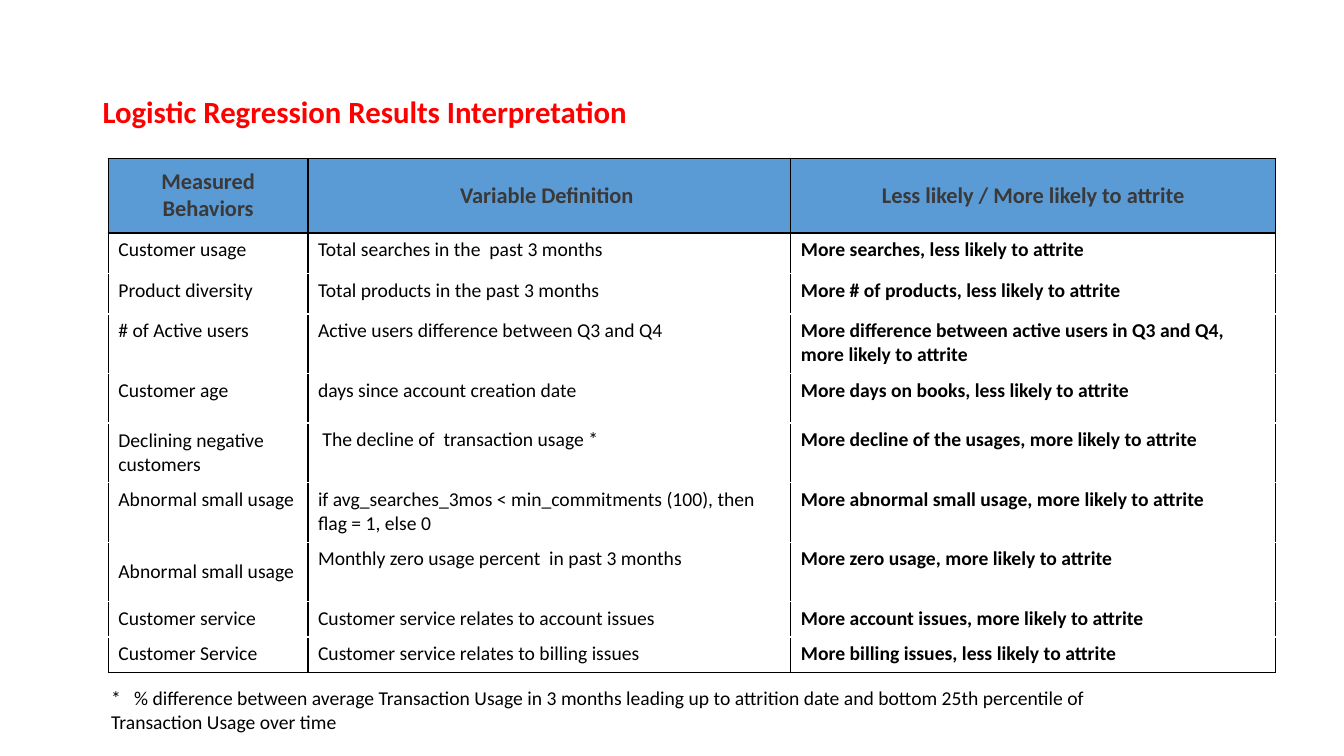
import dataclasses

import lxml.etree
import pptx
import pptx.dml.color
import pptx.enum.text
import pptx.oxml.ns
import pptx.table
import pptx.util

Cm = pptx.util.Cm
Pt = pptx.util.Pt
qn = pptx.oxml.ns.qn
Align = pptx.enum.text.PP_ALIGN
Anchor = pptx.enum.text.MSO_ANCHOR

HUES = {
    "title": "FF0000",
    "head": "5B9BD5",
    "label": "3B3838",
    "ink": "000000",
    "paper": "FFFFFF",
}
FONT = "Calibri"
WIDTHS = (5.03, 12.17, 12.22)


@dataclasses.dataclass
class Row:
    tall: float
    name: str
    rule: str
    effect: str
    mid: bool = False  # name cell is centred vertically


HEAD = Row(1.88, "Measured Behaviors", "Variable Definition ",
           "Less likely / More likely to attrite", True)
ROWS = [
    HEAD,
    Row(1.02, "Customer usage", "Total searches in the  past 3 months ",
        "More searches, less likely to attrite"),
    Row(1.02, "Product diversity ", "Total products in the past 3 months ",
        "More # of products, less likely to attrite"),
    Row(1.5, "# of Active users ", "Active users difference between Q3 and Q4",
        "More difference between active users in Q3 and Q4, "
        "more likely to attrite"),
    Row(1.25, "Customer age ", "days since account creation date",
        "More days on books, less likely to attrite"),
    Row(1.5, "Declining negative customers",
        " The decline of  transaction usage *",
        "More decline of the usages, more likely to attrite ", True),
    Row(1.5, "Abnormal small usage",
        "if avg_searches_3mos < min_commitments (100), then flag = 1, else 0 ",
        "More abnormal small usage, more likely to attrite"),
    Row(1.5, "Abnormal small usage",
        "Monthly zero usage percent  in past 3 months",
        "More zero usage, more likely to attrite", True),
    Row(0.89, "Customer service", "Customer service relates to account issues",
        "More account issues, more likely to attrite"),
    Row(0.89, "Customer Service ",
        "Customer service relates to billing issues ",
        "More billing issues, less likely to attrite"),
]


def tint(hue: str) -> pptx.dml.color.RGBColor:
    return pptx.dml.color.RGBColor.from_string(HUES[hue])


def write(para, text: str, size: int, hue: str, bold: bool = False) -> None:
    run = para.add_run()
    run.text = text
    run.font.name = FONT
    run.font.size = Pt(size)
    run.font.bold = bold
    run.font.color.rgb = tint(hue)


def edge(cell: pptx.table._Cell, top: str, base: str) -> None:
    """Draw black sides, with the given hues above and below."""
    props = cell._tc.get_or_add_tcPr()
    sides = {"lnL": "ink", "lnR": "ink", "lnT": top, "lnB": base}
    for spot, (side, hue) in enumerate(sides.items()):
        line = lxml.etree.Element(qn("a:" + side), w=str(Pt(1)))
        fill = lxml.etree.SubElement(line, qn("a:solidFill"))
        lxml.etree.SubElement(fill, qn("a:srgbClr"), val=HUES[hue])
        props.insert(spot, line)


def fill_row(table: pptx.table.Table, num: int, row: Row) -> None:
    table.rows[num].height = Cm(row.tall)
    head = num == 0
    top = "ink" if num <= 1 else "paper"
    base = "ink" if num in (0, len(ROWS) - 1) else "paper"
    for col, text in enumerate((row.name, row.rule, row.effect)):
        cell = table.cell(num, col)
        cell.fill.solid()
        cell.fill.fore_color.rgb = tint("head" if head else "paper")
        mid = head or (row.mid and col == 0)
        cell.vertical_anchor = Anchor.MIDDLE if mid else Anchor.TOP
        para = cell.text_frame.paragraphs[0]
        para.alignment = Align.CENTER if head else Align.LEFT
        write(para, text, 16 if head else 14,
              "label" if head else "ink", head or col == 2)
        edge(cell, top, base)


deck = pptx.Presentation()
deck.slide_width = Cm(33.87)
deck.slide_height = Cm(19.05)
slide = deck.slides.add_slide(deck.slide_layouts[5])

# Title
title = slide.shapes.title
title.left, title.top = Cm(2.33), Cm(1.02)
title.width, title.height = Cm(29.21), Cm(3.68)
title.text_frame.vertical_anchor = Anchor.MIDDLE
para = title.text_frame.paragraphs[0]
para.alignment = Align.LEFT
para.line_spacing = 0.9
write(para, "Logistic Regression Results Interpretation ", 22, "title", True)

# Table of behaviors
table = slide.shapes.add_table(
    len(ROWS), len(WIDTHS), Cm(2.73), Cm(3.99),
    Cm(sum(WIDTHS)), Cm(sum(row.tall for row in ROWS))).table
table.horz_banding = False
for col, width in zip(table.columns, WIDTHS):
    col.width = Cm(width)
for num, row in enumerate(ROWS):
    fill_row(table, num, row)

# Footnote, with a tab stop after the star
note = slide.shapes.add_textbox(Cm(2.55), Cm(17.17), Cm(27.3), Cm(1.45))
note.text_frame.word_wrap = True
note.text_frame.auto_size = pptx.enum.text.MSO_AUTO_SIZE.SHAPE_TO_FIT_TEXT
para = note.text_frame.paragraphs[0]
tabs = lxml.etree.SubElement(para._p.get_or_add_pPr(), qn("a:tabLst"))
lxml.etree.SubElement(tabs, qn("a:tab"), pos=str(Cm(0.58)), algn="l")
write(para, "*\t% difference between average Transaction Usage in 3 months "
      "leading up to attrition date and bottom 25th percentile of "
      "Transaction Usage over time", 14, "ink")

deck.save("out.pptx")
